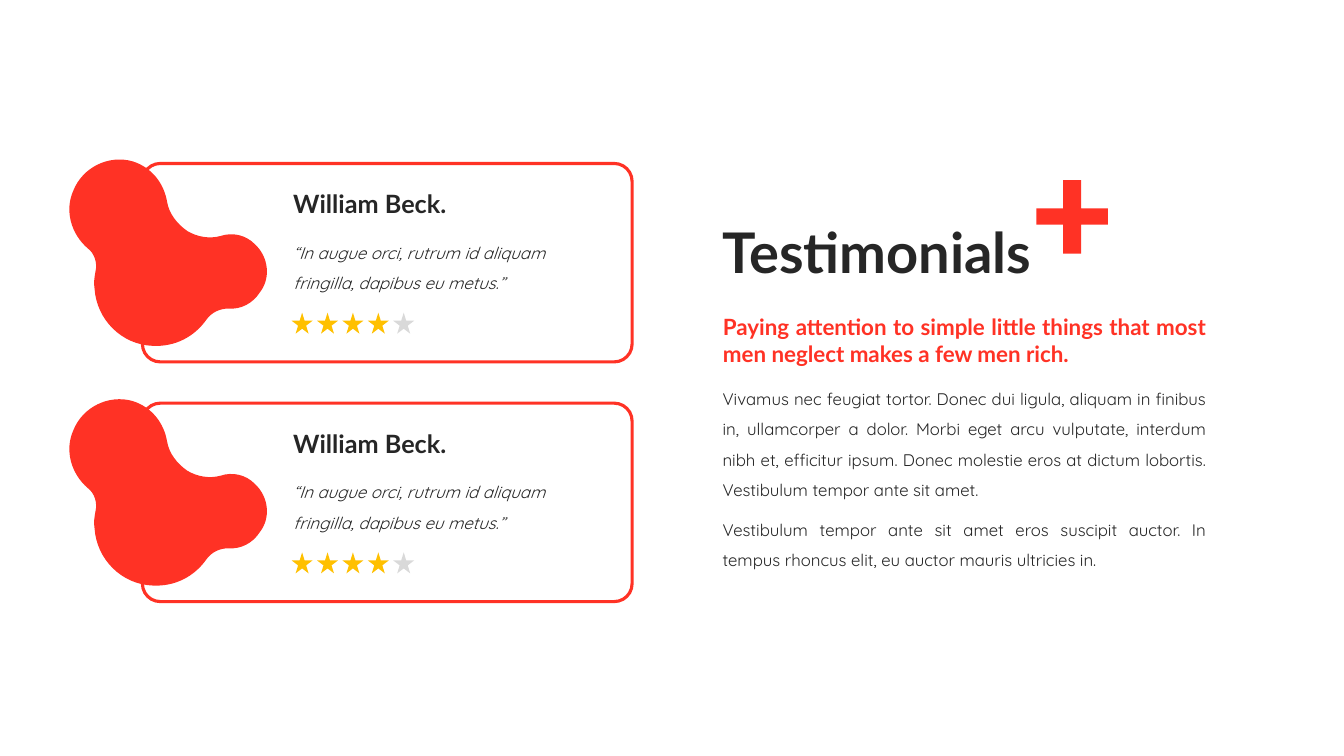
"""Build a testimonials slide with two rated quote cards and a text column."""
from dataclasses import dataclass

import lxml.etree
import pptx
import pptx.dml.color
import pptx.enum.shapes
import pptx.enum.text
import pptx.oxml.ns
import pptx.util
from pptx.util import Cm

RED, INK, GOLD, GREY, WHITE = "FF3225", "262626", "FFC000", "D9D9D9", "FFFFFF"
SHAPES = pptx.enum.shapes.MSO_SHAPE
ANCHORS = pptx.enum.text.MSO_ANCHOR
ALIGNMENTS = pptx.enum.text.PP_ALIGN

Point = tuple[float, float]

CARD_TOP, CARD_PITCH = 4.12, 6.04
STAR_COUNT, STAR_SIZE, STAR_PITCH = 5, 0.53, 0.64
BLOB_UNIT = 2.54 / 100
BLOB_POINTS = [
    (163, 153),
    (175, 154), (187, 148), (194, 137),
    (205, 123), (203, 102), (189, 89),
    (180, 80), (167, 77), (155, 81),
    (144, 84), (132, 82), (122, 76),
    (112, 69), (104, 59), (102, 47),
    (99, 29), (87, 13), (68, 7),
    (44, 0), (18, 13), (9, 36),
    (0, 56), (7, 79), (23, 93),
    (30, 98), (33, 108), (31, 116),
    (30, 122), (29, 127), (30, 133),
    (32, 164), (57, 189), (88, 190),
    (110, 191), (129, 181), (141, 164),
    (146, 157), (154, 153), (163, 153),
]
PLUS_POINTS = [
    (0.67, 0), (1.13, 0), (1.13, 0.71), (1.8, 0.71), (1.8, 1.12), (1.13, 1.12),
    (1.13, 1.85), (0.67, 1.85), (0.67, 1.12), (0, 1.12), (0, 0.71), (0.67, 0.71),
]


@dataclass
class TextBlock:
    text: str
    left: float
    top: float
    width: float
    height: float
    size: int
    font: str = "Lato"
    color: str = INK
    bold: bool = False
    italic: bool = False
    justified: bool = False
    middle: bool = False
    spacing: float = 1.0


@dataclass
class Testimonial:
    name: str
    quote: str
    rating: int


TESTIMONIALS = [
    Testimonial("William Beck.", "“In augue orci, rutrum id aliquam fringilla, dapibus eu metus.”", 4),
] * 2

COLUMN = [
    TextBlock(
        "Vivamus nec feugiat tortor. Donec dui ligula, aliquam in finibus in, ullamcorper a dolor. "
        "Morbi eget arcu vulputate, interdum nibh et, efficitur ipsum. Donec molestie eros at dictum "
        "lobortis. Vestibulum tempor ante sit amet.",
        17.96, 9.42, 12.7, 3.33, 12, "Quicksand", justified=True, spacing=1.5),
    TextBlock("Paying attention to simple little things that most men neglect makes a few men rich.",
              17.97, 7.77, 12.68, 1.63, 16, color=RED, bold=True, justified=True),
    TextBlock("Vestibulum tempor ante sit amet eros suscipit auctor. In tempus rhoncus elit, "
              "eu auctor mauris ultricies in.",
              17.96, 12.72, 12.7, 1.8, 12, "Quicksand", justified=True, spacing=1.5),
    TextBlock("Testimonials", 17.96, 4.6, 12.9, 3.68, 40, bold=True, middle=True, spacing=0.9),
]


def rgb(color: str) -> pptx.dml.color.RGBColor:
    """Turn a hex string into a colour."""
    return pptx.dml.color.RGBColor.from_string(color)


def paint(shape, fill: str, line: str | None = None) -> None:
    """Give a shape a flat fill and an optional outline."""
    shape.shadow.inherit = False
    shape.fill.solid()
    shape.fill.fore_color.rgb = rgb(fill)
    if line is None:
        shape.line.fill.background()
    else:
        shape.line.color.rgb = rgb(line)
        shape.line.width = pptx.util.Pt(2.25)


def add_text(slide, block: TextBlock) -> None:
    """Add a wrapped text box."""
    box = slide.shapes.add_textbox(Cm(block.left), Cm(block.top), Cm(block.width), Cm(block.height))
    frame = box.text_frame
    frame.word_wrap = True
    frame.vertical_anchor = ANCHORS.MIDDLE if block.middle else ANCHORS.TOP
    frame.text = block.text
    paragraph = frame.paragraphs[0]
    paragraph.alignment = ALIGNMENTS.JUSTIFY if block.justified else ALIGNMENTS.LEFT
    paragraph.line_spacing = block.spacing
    font = paragraph.runs[0].font
    font.name, font.size = block.font, pptx.util.Pt(block.size)
    font.bold, font.italic = block.bold, block.italic
    font.color.rgb = rgb(block.color)


def add_outline(slide, points: list[Point], left: float, top: float, unit: float = 1):
    """Add a closed red outline whose points are counted in units of centimetres."""
    corners = [(Cm(x * unit), Cm(y * unit)) for x, y in points]
    builder = slide.shapes.build_freeform(*corners[0])
    builder.add_line_segments(corners[1:], close=True)
    outline = builder.convert_to_shape(Cm(left), Cm(top))
    paint(outline, RED)
    return outline


def bend(outline) -> None:
    """Turn every three straight segments of an outline into one cubic curve."""
    segments = list(outline.element.iter(pptx.oxml.ns.qn("a:lnTo")))
    for start in range(0, len(segments), 3):
        curve = lxml.etree.Element(pptx.oxml.ns.qn("a:cubicBezTo"))
        segments[start].addprevious(curve)
        for segment in segments[start:start + 3]:
            curve.append(segment[0])
            segment.getparent().remove(segment)


def add_stars(slide, rating: int, left: float, top: float) -> None:
    """Add a grouped row of rating stars."""
    group = slide.shapes.add_group_shape()
    for index in range(STAR_COUNT):
        star = group.shapes.add_shape(SHAPES.STAR_5_POINT, Cm(left + index * STAR_PITCH), Cm(top),
                                      Cm(STAR_SIZE), Cm(STAR_SIZE))
        paint(star, GOLD if index < rating else GREY)


def add_card(slide, testimonial: Testimonial, top: float) -> None:
    """Add one quote card with its blob and rating."""
    frame = slide.shapes.add_shape(SHAPES.ROUNDED_RECTANGLE, Cm(3.59), Cm(top), Cm(12.34), Cm(5))
    frame.adjustments[0] = 0.09
    paint(frame, WHITE, RED)
    bend(add_outline(slide, BLOB_POINTS, 1.62, top - 0.23, BLOB_UNIT))
    add_text(slide, TextBlock(testimonial.quote, 7.14, top + 1.65, 8.43, 1.7, 12, "Quicksand",
                              italic=True, middle=True, spacing=1.5))
    add_text(slide, TextBlock(testimonial.name, 7.14, top + 0.5, 6.65, 1.02, 18,
                              bold=True, middle=True))
    add_stars(slide, testimonial.rating, 7.35, top + 3.76)


def main() -> None:
    """Build and save the presentation."""
    presentation = pptx.Presentation()
    presentation.slide_width, presentation.slide_height = Cm(33.87), Cm(19.05)
    slide = presentation.slides.add_slide(presentation.slide_layouts[6])
    add_outline(slide, PLUS_POINTS, 26.12, 4.54)
    for index, testimonial in enumerate(TESTIMONIALS):
        add_card(slide, testimonial, CARD_TOP + index * CARD_PITCH)
    for block in COLUMN:
        add_text(slide, block)
    presentation.save("out.pptx")


if __name__ == "__main__":
    main()
